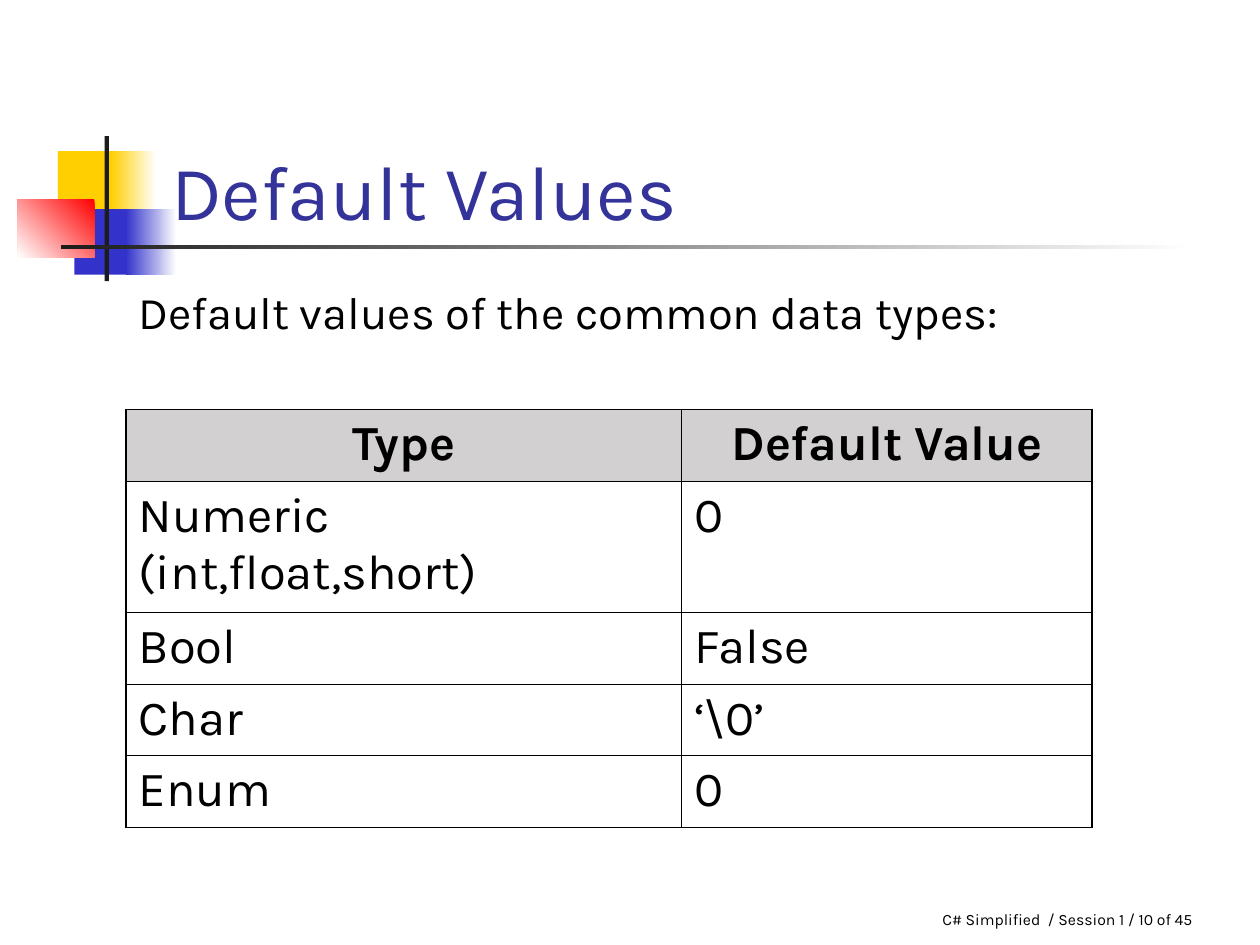
from dataclasses import dataclass
from typing import Any, Optional

from lxml import etree
from pptx import Presentation
from pptx import util as u
from pptx.dml.color import RGBColor
from pptx.enum import shapes, text
from pptx.oxml.ns import qn


@dataclass(frozen=True)
class Theme:
    font: str = "Karla"
    ink: str = "000000"
    title: str = "333399"
    white: str = "FFFFFF"
    yellow: str = "FFCF01"
    blue: str = "3333CC"
    red: str = "FF0000"
    bar: str = "1C1C1C"
    header: str = "D2D0D1"
    title_size: float = 44
    body_size: float = 25.9
    table_size: float = 28
    footer_size: float = 9
    space_before: float = 7
    outer_line: float = 1.08
    inner_line: float = 0.45


THEME = Theme()


@dataclass(frozen=True)
class Frame:
    left: float
    top: float
    width: float
    height: float

    def lengths(self) -> list[u.Length]:
        return [u.Pt(n) for n in (self.left, self.top, self.width, self.height)]


@dataclass(frozen=True)
class Block:
    """A rectangle, solid or fading from start to end."""
    frame: Frame
    start: str
    end: Optional[str] = None
    angle: float = 180


@dataclass(frozen=True)
class Label:
    frame: Frame
    words: str
    size: float
    color: str
    box_format: dict[str, Any]
    para_format: dict[str, Any]


BLOCKS = [
    Block(Frame(33.1, 86.4, 34.6, 37.4), THEME.yellow),
    Block(Frame(63.4, 86.4, 25.9, 37.4), THEME.white, THEME.yellow),
    Block(Frame(42.5, 119.5, 33.1, 37.4), THEME.blue),
    Block(Frame(72, 119.5, 28.8, 37.4), THEME.white, THEME.blue),
    Block(Frame(10.1, 113.8, 43.9, 33.1), THEME.red, THEME.white, 225),
    Block(Frame(59.8, 77.8, 2.5, 82.8), THEME.bar),
    Block(Frame(34.6, 140.1, 648, 2.5), THEME.white, THEME.bar),
]

LABELS = [
    Label(Frame(531.4, 516.2, 195.8, 19.4), "C# Simplified  / Session 1 / 10 of 45",
          THEME.footer_size, THEME.ink, {"word_wrap": False}, {}),
    Label(Frame(90.7, 48.2, 613.4, 90), "Default Values",
          THEME.title_size, THEME.title,
          {"word_wrap": True, "vertical_anchor": text.MSO_ANCHOR.BOTTOM}, {}),
    Label(Frame(72, 164.9, 534.2, 38.9), "Default values of the common data types:",
          THEME.body_size, THEME.ink, {"word_wrap": True},
          {"line_spacing": 0.8, "space_before": u.Pt(THEME.space_before)}),
]

TABLE_FRAME = Frame(72, 234, 552.2, 239)
COLUMN_WIDTHS = [317.5, 234.7]
ROW_HEIGHTS = [41, 74.9, 41, 41, 41]
ROWS = [
    ("Type", "Default Value"),
    ("Numeric (int,float,short)", "0"),
    ("Bool", "False"),
    ("Char", "‘\\0’"),
    ("Enum", "0"),
]


def apply(target: Any, values: dict[str, Any]) -> None:
    for name, value in values.items():
        setattr(target, name, value)


def write(para: Any, words: str, size: float, color: str, bold: bool = False) -> None:
    span = para.add_run()
    span.text = words
    apply(span.font, {"name": THEME.font, "size": u.Pt(size), "bold": bold})
    span.font.color.rgb = RGBColor.from_string(color)


def draw_block(page: Any, block: Block) -> None:
    shape = page.shapes.add_shape(shapes.MSO_SHAPE.RECTANGLE, *block.frame.lengths())
    shape.shadow.inherit = False
    shape.line.fill.background()
    if block.end is None:
        shape.fill.solid()
        shape.fill.fore_color.rgb = RGBColor.from_string(block.start)
        return
    shape.fill.gradient()
    shape.fill.gradient_angle = block.angle
    for stop, color, position in zip(
            shape.fill.gradient_stops, (block.start, block.end), (0, 1)):
        stop.color.rgb = RGBColor.from_string(color)
        stop.position = position


def draw_label(page: Any, label: Label) -> None:
    box = page.shapes.add_textbox(*label.frame.lengths())
    apply(box.text_frame, label.box_format)
    para = box.text_frame.paragraphs[0]
    apply(para, label.para_format)
    write(para, label.words, label.size, label.color)


def draw_borders(cell: Any, outer: dict[str, bool]) -> None:
    """Heavy lines on the outer sides, thin ones elsewhere."""
    properties = cell._tc.get_or_add_tcPr()
    for index, (side, is_outer) in enumerate(outer.items()):
        width = THEME.outer_line if is_outer else THEME.inner_line
        line = etree.Element(qn(f"a:ln{side}"), w=str(int(u.Pt(width))))
        fill = etree.SubElement(line, qn("a:solidFill"))
        etree.SubElement(fill, qn("a:srgbClr"), val=THEME.ink)
        properties.insert(index, line)


def draw_table(page: Any) -> None:
    last_row, last_column = len(ROWS) - 1, len(COLUMN_WIDTHS) - 1
    table = page.shapes.add_table(
        len(ROWS), len(COLUMN_WIDTHS), *TABLE_FRAME.lengths()).table
    apply(table, {"first_row": False, "horz_banding": False})
    for column, width in zip(table.columns, COLUMN_WIDTHS):
        column.width = u.Pt(width)
    for r, (row, height) in enumerate(zip(table.rows, ROW_HEIGHTS)):
        row.height = u.Pt(height)
        is_header = r == 0
        for c, cell in enumerate(row.cells):
            if is_header:
                cell.fill.solid()
                cell.fill.fore_color.rgb = RGBColor.from_string(THEME.header)
            else:
                cell.fill.background()
            para = cell.text_frame.paragraphs[0]
            apply(para, {
                "space_before": u.Pt(THEME.space_before),
                "alignment": text.PP_ALIGN.CENTER if is_header else text.PP_ALIGN.LEFT,
            })
            write(para, ROWS[r][c], THEME.table_size, THEME.ink, is_header)
            draw_borders(cell, {"L": c == 0, "R": c == last_column,
                                "T": r == 0, "B": r == last_row})


def main() -> None:
    deck = Presentation()
    apply(deck, {"slide_width": u.Pt(720), "slide_height": u.Pt(540)})
    page = deck.slides.add_slide(deck.slide_layouts[6])

    # Corner ornament and title rule
    for block in BLOCKS:
        draw_block(page, block)

    # Footer, title and introduction
    for label in LABELS:
        draw_label(page, label)

    # Default values by type
    draw_table(page)

    deck.save("out.pptx")


if __name__ == "__main__":
    main()
